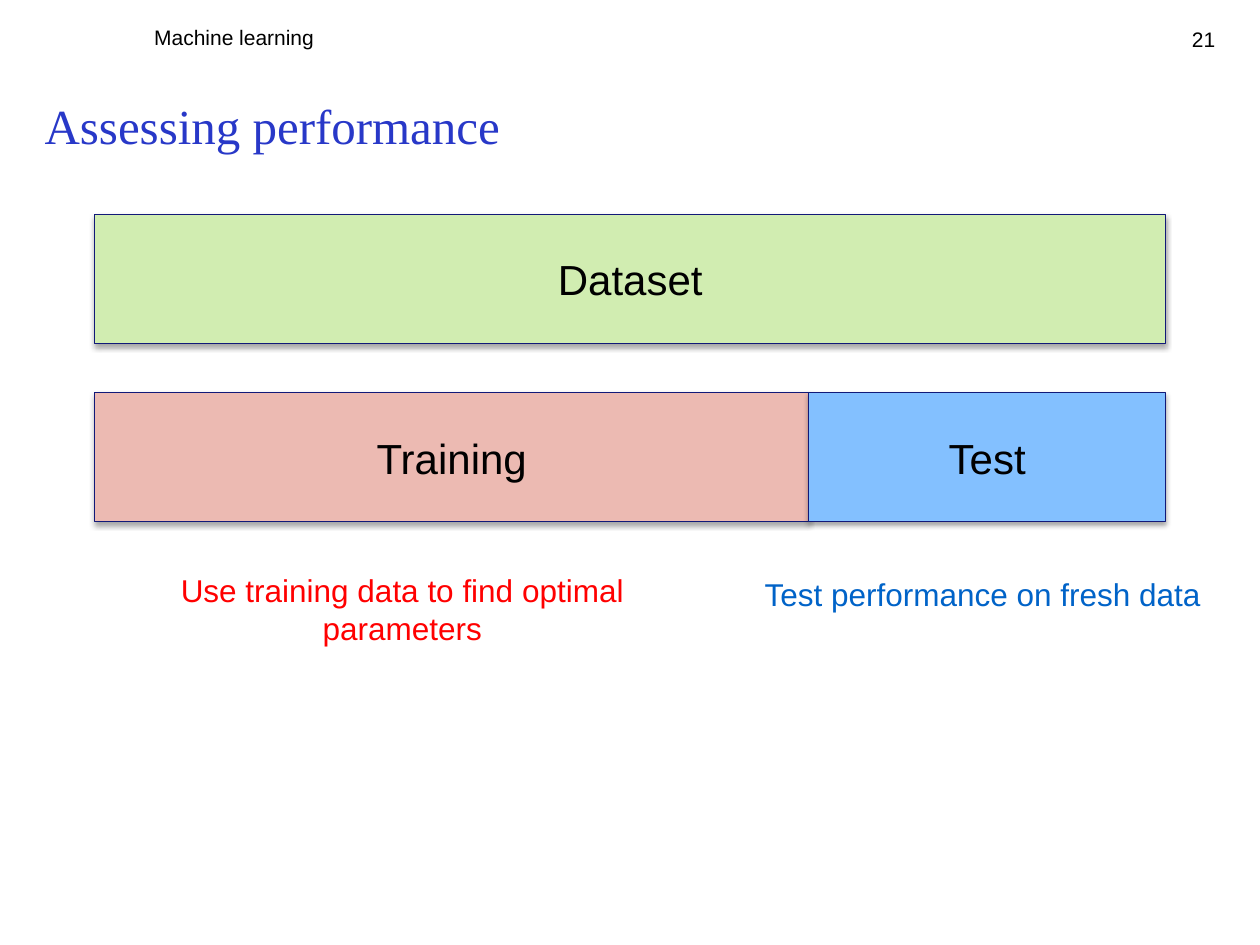
from dataclasses import dataclass

from lxml.etree import SubElement
from pptx import Presentation
from pptx.dml.color import RGBColor
from pptx.enum.shapes import MSO_SHAPE as Shape
from pptx.enum.text import MSO_ANCHOR as Anchor, PP_ALIGN as Align
from pptx.oxml.ns import qn
from pptx.util import Cm, Pt


@dataclass(frozen=True)
class Theme:
    """Fonts, type sizes and colours of the slide."""
    title_font: str = "Times New Roman"
    body_font: str = "Arial"
    title_size: int = 28
    bar_size: int = 24
    caption_size: int = 18
    header_size: int = 12
    title: str = "2838C8"
    text: str = "000000"
    outline: str = "111978"
    dataset: str = "D1EDB1"
    training: str = "ECBAB2"
    test: str = "83C0FF"
    training_caption: str = "FF0000"
    test_caption: str = "0063C8"


THEME = Theme()


def style_text(frame, text, size, color, align, font=THEME.body_font):
    """Write one styled paragraph into a text frame."""
    frame.word_wrap = True
    paragraph = frame.paragraphs[0]
    paragraph.text = text
    paragraph.alignment = align
    paragraph.font.name = font
    paragraph.font.size = Pt(size)
    paragraph.font.color.rgb = RGBColor.from_string(color)


def add_label(slide, box, *style):
    """Add a text box without margins; box is in centimetres."""
    frame = slide.shapes.add_textbox(*map(Cm, box)).text_frame
    frame.margin_left = frame.margin_right = 0
    frame.margin_top = frame.margin_bottom = 0
    frame.vertical_anchor = Anchor.TOP
    style_text(frame, *style)


def add_shadow(shape):
    """Give a shape a soft shadow that falls straight down."""
    shape.shadow.inherit = False
    effects = shape._element.spPr.find(qn("a:effectLst"))
    shadow = SubElement(effects, qn("a:outerShdw"), blurRad=str(Pt(3.1)),
                        dist=str(Pt(1.8)), dir="5400000", rotWithShape="0")
    color = SubElement(shadow, qn("a:srgbClr"), val="000000")
    SubElement(color, qn("a:alpha"), val="35000")


def add_bar(slide, box, parts):
    """Split a box into labelled parts, each (text, fill, share)."""
    left, top, width, height = box
    for text, fill, share in parts:
        part_width = width * share
        shape = slide.shapes.add_shape(
            Shape.RECTANGLE, Cm(left), Cm(top), Cm(part_width), Cm(height))
        shape.fill.solid()
        shape.fill.fore_color.rgb = RGBColor.from_string(fill)
        shape.line.color.rgb = RGBColor.from_string(THEME.outline)
        shape.line.width = Pt(0.75)
        add_shadow(shape)
        shape.text_frame.vertical_anchor = Anchor.MIDDLE
        style_text(shape.text_frame, text, THEME.bar_size, THEME.text, Align.CENTER)
        left += part_width


def add_heading(slide, box):
    """Add the running header, page number and title across the box."""
    left, top, width, _ = box
    header = (THEME.header_size, THEME.text)
    add_label(slide, (left, top + 1.4, width, 2), "Assessing performance",
              THEME.title_size, THEME.title, Align.LEFT, THEME.title_font)
    add_label(slide, (left + width - 2.29, top, 2.29, 1.32), "21", *header, Align.RIGHT)
    add_label(slide, (left + 2.21, top - 0.03, 11.86, 0.84), "Machine learning",
              *header, Align.LEFT)


def add_split_diagram(slide, box):
    """Show the dataset above its training and test parts, with captions."""
    left, top, width, bar_height = box
    split_top = top + 3.6
    add_bar(slide, box, [("Dataset", THEME.dataset, 1)])
    add_bar(slide, (left, split_top, width, bar_height),
            [("Training", THEME.training, 2 / 3), ("Test", THEME.test, 1 / 3)])
    captions = [
        (1.3, 3.6, 1.55, "Use training data to find optimal parameters", THEME.training_caption),
        (13, 3.67, 0.76, "Test performance on fresh data", THEME.test_caption),
    ]
    for offset, drop, height, text, color in captions:
        add_label(slide, (left + offset, split_top + drop, 9.8, height),
                  text, THEME.caption_size, color, Align.CENTER)


def main():
    """Build and save the slide."""
    presentation = Presentation()
    presentation.slide_width, presentation.slide_height = Cm(25.4), Cm(19.05)
    slide = presentation.slides.add_slide(presentation.slide_layouts[6])
    add_heading(slide, (0.9, 0.53, 23.6, 3.4))
    add_split_diagram(slide, (1.91, 4.32, 21.59, 2.6))
    presentation.save("out.pptx")


main()
